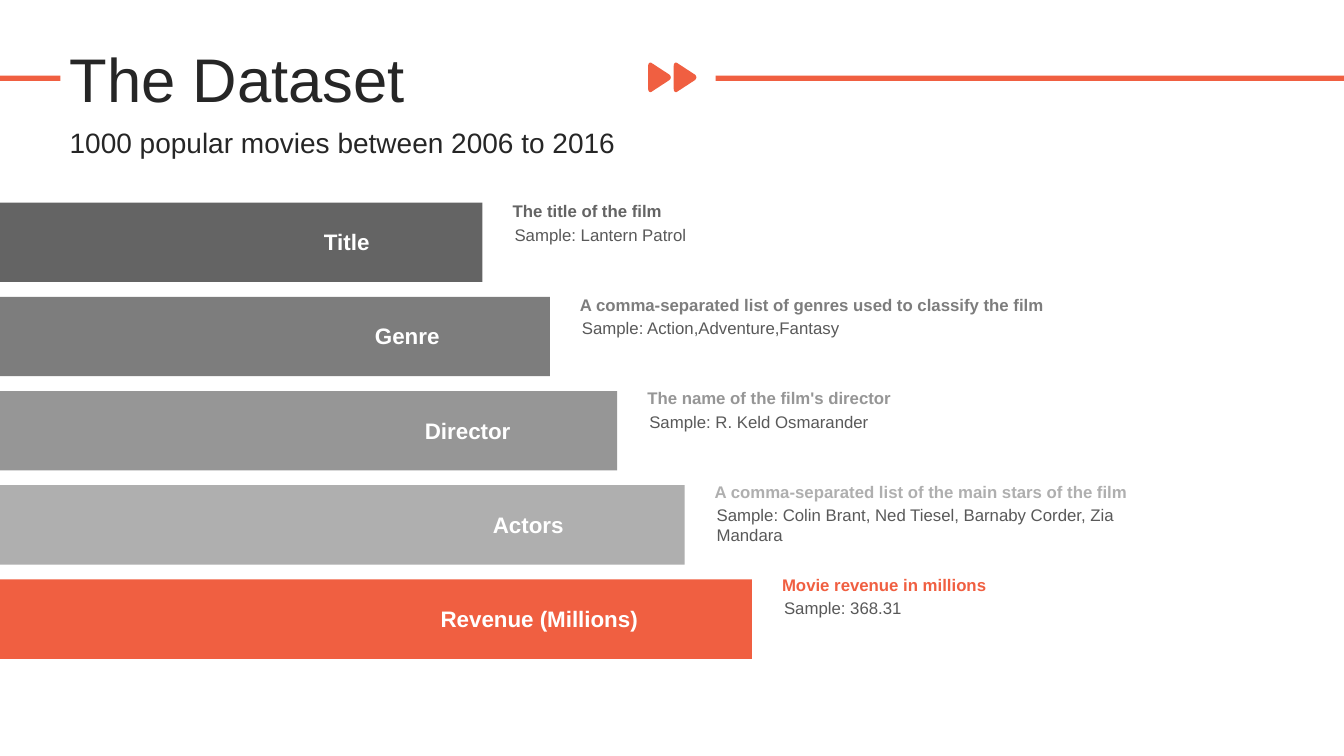
import pptx
import pptx.dml.color
import pptx.enum.shapes
import pptx.enum.text
import pptx.util

# The slide is a grid of 100 columns by 100 rows
SLIDE_W, SLIDE_H = pptx.util.Inches(13.333), pptx.util.Inches(7.5)
FONT, ACCENT, INK, SAMPLE_GREY, WHITE = "Arial", "F05F41", "262626", "595959", "FFFFFF"
ALIGN = pptx.enum.text.PP_ALIGN

# Field, bar colour, label centre and width, caption, caption width, sample
FIELDS = [
    ("Title", "646464", 25.8, 9.9, "The title of the film", 35.4, "Lantern Patrol"),
    ("Genre", "7D7D7D", 30.3, 9.9,
     "A comma-separated list of genres used to classify the film", 38.4,
     "Action,Adventure,Fantasy"),
    ("Director", "969696", 34.8, 9.9, "The name of the film's director", 35.4,
     "R. Keld Osmarander"),
    ("Actors", "AFAFAF", 39.3, 9.9,
     "A comma-separated list of the main stars of the film", 35.4,
     "Colin Brant, Ned Tiesel, Barnaby Corder, Zia Mandara"),
    ("Revenue (Millions)", ACCENT, 40.13, 17.25, "Movie revenue in millions", 35.4,
     "368.31"),
]


def rgb(value):
    return pptx.dml.color.RGBColor.from_string(value)


def col(share):
    return round(SLIDE_W * share / 100)


def row(share):
    return round(SLIDE_H * share / 100)


def place(left, top, width, height):
    return col(left), row(top), col(width), row(height)


def paint(shape, colour):
    shape.shadow.inherit = False
    shape.fill.solid()
    shape.fill.fore_color.rgb = rgb(colour)
    shape.line.fill.background()


def add_bar(slide, box, colour):
    bar = slide.shapes.add_shape(pptx.enum.shapes.MSO_SHAPE.RECTANGLE, *place(*box))
    paint(bar, colour)


def write(paragraph, text, size, colour, bold=False, **layout):
    run = paragraph.add_run()
    run.text = text
    run.font.color.rgb = rgb(colour)
    for name, value in {"name": FONT, "size": pptx.util.Pt(size), "bold": bold}.items():
        setattr(run.font, name, value)
    for name, value in layout.items():
        setattr(paragraph, name, value)


def add_text(slide, box, text, size, colour, bold=False, align=ALIGN.LEFT):
    frame = slide.shapes.add_textbox(*place(*box)).text_frame
    frame.word_wrap = True
    write(frame.paragraphs[0], text, size, colour, bold, alignment=align)


def curve(start, control_1, control_2, end, steps=6):
    """Points along a cubic curve, both ends included."""
    points = []
    for step in range(steps + 1):
        t = step / steps
        weights = ((1 - t) ** 3, 3 * t * (1 - t) ** 2, 3 * t * t * (1 - t), t ** 3)
        corners = (start, control_1, control_2, end)
        points.append(tuple(sum(w * c[axis] for w, c in zip(weights, corners))
                            for axis in (0, 1)))
    return points


def add_arrow(slide, box):
    """Right-pointing triangle with rounded corners, filling the box."""
    left, top, width, height = place(*box)
    outline = (curve((.18, .96), (.1, 1.02), (0, .98), (0, .89))
               + curve((0, .11), (0, .02), (.1, -.02), (.18, .04))
               + curve((.94, .41), (1.02, .46), (1.02, .54), (.94, .59)))
    points = [(round(left + x * width), round(top + y * height)) for x, y in outline]
    builder = slide.shapes.build_freeform(*points[0], scale=1.0)
    builder.add_line_segments(points[1:], close=True)
    paint(builder.convert_to_shape(), ACCENT)


def add_header(slide, box):
    left, top, width, height = box
    # Accent rules and the double arrow between them
    rule_top = top + 5.07
    for start, end in ((0, left + .07), (left + 48.82, 100)):
        add_bar(slide, (start, rule_top, end - start, .7), ACCENT)
    for start in (left + 43.8, left + 45.7):
        add_arrow(slide, (start, rule_top - 1.77, 1.68, 4))

    # Title with its second line
    title = slide.shapes.title
    title.left, title.top, title.width, title.height = place(*box)
    frame = title.text_frame
    for name, value in {"word_wrap": True,
                        "auto_size": pptx.enum.text.MSO_AUTO_SIZE.NONE,
                        "vertical_anchor": pptx.enum.text.MSO_ANCHOR.MIDDLE}.items():
        setattr(frame, name, value)
    spacing = {"alignment": ALIGN.LEFT, "line_spacing": .9,
               "space_before": pptx.util.Pt(10)}
    write(frame.paragraphs[0], "The Dataset", 44, INK, **spacing)
    write(frame.add_paragraph(), "1000 popular movies between 2006 to 2016", 20, INK,
          **spacing)


def add_fields(slide, box):
    """Staircase of bars, each with a label on it and a caption beside it."""
    left, top, width, height = box
    bar_h, first_w = 10.5, 35.9
    pitch = (height - bar_h) / (len(FIELDS) - 1)
    step = (width - first_w) / (len(FIELDS) - 1)
    for index, (field, colour, centre, label_w, caption, caption_w, sample) in enumerate(FIELDS):
        bar_w, bar_top = first_w + index * step, top + index * pitch
        add_bar(slide, (left, bar_top, bar_w, bar_h), colour)
        add_text(slide, (left + centre - label_w / 2, bar_top + 2.75, label_w, 4.93),
                 field, 16, WHITE, True, ALIGN.CENTER)
        # Captions climb slightly against their bars
        caption_left, caption_top = left + bar_w + 1.5, bar_top - .85 - .1 * index
        add_text(slide, (caption_left, caption_top, caption_w, 4),
                 caption, 12, colour, True)
        add_text(slide, (caption_left + .15, caption_top + 3.07, caption_w + .3, 4),
                 f"Sample: {sample}", 12, SAMPLE_GREY)


def main():
    deck = pptx.Presentation()
    deck.slide_width, deck.slide_height = SLIDE_W, SLIDE_H
    slide = deck.slides.add_slide(deck.slide_layouts[5])
    add_header(slide, (4.43, 4.93, 93.15, 17.73))
    add_fields(slide, (0, 26.8, 55.95, 60.35))
    deck.save("out.pptx")


if __name__ == "__main__":
    main()
